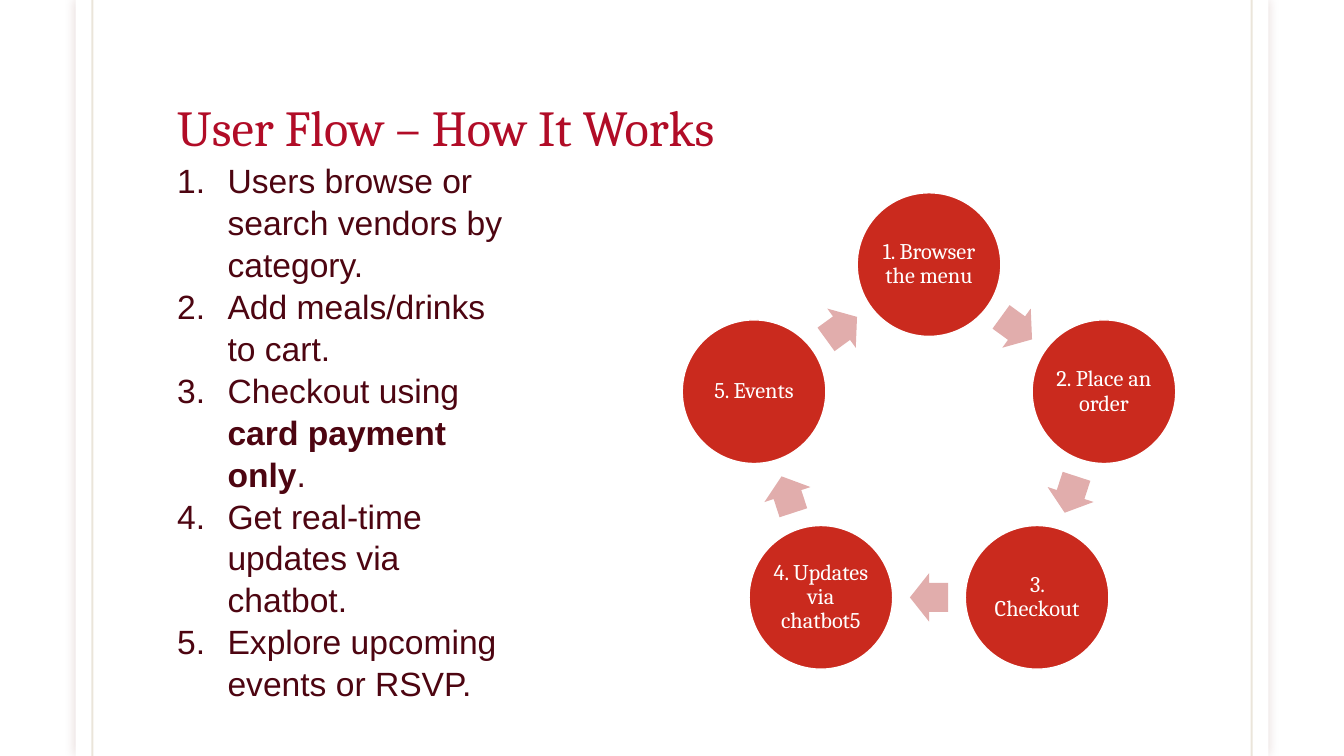
import math

import pptx
import pptx.dml.color
import pptx.enum.shapes
import pptx.enum.text
import pptx.oxml
import pptx.oxml.ns
import pptx.util

RGBColor = pptx.dml.color.RGBColor
SHAPE = pptx.enum.shapes.MSO_SHAPE
ALIGN = pptx.enum.text.PP_ALIGN
ANCHOR = pptx.enum.text.MSO_ANCHOR
FIT = pptx.enum.text.MSO_AUTO_SIZE

WHITE = RGBColor(0xFF, 0xFF, 0xFF)
GOLD = RGBColor(0x79, 0x54, 0x0B)
CRIMSON = RGBColor(0xB1, 0x0C, 0x27)
MAROON = RGBColor(0x4D, 0x05, 0x11)
RED = RGBColor(0xCA, 0x2A, 0x1E)
PINK = RGBColor(0xE1, 0xAD, 0xAC)
SHADOW = RGBColor(0x65, 0x15, 0x0F)

COLUMNS, ROWS = 160, 90  # square cells, twelve to the inch


class Deck:
    """Holds the style and the current slide; lengths are grid cells."""

    heading_font = "Cambria"
    body_font = "Arial"

    def __init__(self, prs):
        self.cell = prs.slide_width / COLUMNS
        self.s = prs.slides.add_slide(prs.slide_layouts[6])

    def at(self, *cells):
        return [pptx.util.Emu(round(c * self.cell)) for c in cells]

    def add_xml(self, parent, tag, **attributes):
        child = pptx.oxml.parse_xml(f"<a:{tag} {pptx.oxml.ns.nsdecls('a')}/>")
        for name, value in attributes.items():
            child.set(name, str(value))
        parent.append(child)
        return child

    def shape(self, kind, x, y, w, h, fill, outline=None):
        sp = self.s.shapes.add_shape(kind, *self.at(x, y, w, h))
        sp.shadow.inherit = False
        sp.fill.solid()
        sp.fill.fore_color.rgb = fill
        if outline is None:
            sp.line.fill.background()
        else:
            sp.line.color.rgb = outline
            sp.line.width = pptx.util.Pt(1)
        return sp

    def glow(self, sp, color, blur, alpha):
        effects = sp._element.spPr.find(pptx.oxml.ns.qn("a:effectLst"))
        outer = self.add_xml(effects, "outerShdw", blurRad=pptx.util.Pt(blur),
                             dist=0, dir=0, algn="ctr", rotWithShape=0)
        tint = self.add_xml(outer, "srgbClr", val=color)
        self.add_xml(tint, "alpha", val=alpha * 1000)

    def rule(self, x, color, alpha):
        line = self.s.shapes.add_connector(
            pptx.enum.shapes.MSO_CONNECTOR.STRAIGHT, *self.at(x, 0, x, ROWS))
        line.line.color.rgb = color
        line.line.width = pptx.util.Pt(1.5)
        tint = line._element.spPr.find(".//" + pptx.oxml.ns.qn("a:srgbClr"))
        self.add_xml(tint, "alpha", val=alpha * 1000)
        self.add_xml(line._element.spPr, "effectLst")

    def run(self, p, text, font, size, color, bold=False):
        r = p.add_run()
        r.text = text
        r.font.name = font
        r.font.size = pptx.util.Pt(size)
        r.font.color.rgb = color
        r.font.bold = bold

    def frame(self, x, y, w, h, anchor):
        tf = self.s.shapes.add_textbox(*self.at(x, y, w, h)).text_frame
        tf.word_wrap = True
        tf.vertical_anchor = anchor
        return tf

    def title(self, x, y, w, h, text):
        p = self.frame(x, y, w, h, ANCHOR.BOTTOM).paragraphs[0]
        p.line_spacing = 0.85
        self.run(p, text, self.heading_font, 36, CRIMSON)

    def numbered_list(self, x, y, w, h, items):
        tf = self.frame(x, y, w, h, ANCHOR.MIDDLE)
        tf.auto_size = FIT.SHAPE_TO_FIT_TEXT
        indent = pptx.util.Inches(0.5)
        for i, item in enumerate(items):
            p = tf.paragraphs[0] if i == 0 else tf.add_paragraph()
            p.line_spacing = 1.04
            pPr = p._p.get_or_add_pPr()
            pPr.set("marL", str(indent))
            pPr.set("indent", str(-indent))
            self.add_xml(pPr, "buFont", typeface=self.body_font)
            self.add_xml(pPr, "buAutoNum", type="arabicPeriod")
            for text, bold in item:
                self.run(p, text, self.body_font, 24, MAROON, bold)

    def disc(self, cx, cy, size, text):
        sp = self.shape(SHAPE.OVAL, cx - size / 2, cy - size / 2, size, size,
                        RED, WHITE)
        tf = sp.text_frame
        tf.word_wrap = True
        tf.vertical_anchor = ANCHOR.MIDDLE
        tf.margin_left = tf.margin_right = pptx.util.Inches(0.02)
        tf.margin_top = tf.margin_bottom = pptx.util.Inches(0.02)
        p = tf.paragraphs[0]
        p.alignment = ALIGN.CENTER
        p.line_spacing = 0.9
        self.run(p, text, self.heading_font, 16, WHITE)

    def arrow(self, cx, cy, w, h, angle):
        sp = self.shape(SHAPE.RIGHT_ARROW, cx - w / 2, cy - h / 2, w, h, PINK)
        sp.adjustments[0], sp.adjustments[1] = 0.6, 0.5
        sp.rotation = angle

    def cycle(self, cx, cy, radius, size, steps):
        turn = 360 / len(steps)

        def point(distance, degrees):
            a = math.radians(degrees)
            return cx + distance * math.sin(a), cy - distance * math.cos(a)

        # Arrows sit halfway along the chord to the next disc
        middle = radius * math.cos(math.radians(turn / 2))
        for i, step in enumerate(steps):
            self.disc(*point(radius, i * turn), size, step)
            angle = (i + 0.5) * turn
            self.arrow(*point(middle, angle), 4.56, 5.76, angle)


def main():
    prs = pptx.Presentation()
    prs.slide_width = pptx.util.Inches(COLUMNS / 12)
    prs.slide_height = pptx.util.Inches(ROWS / 12)
    deck = Deck(prs)

    # Page panel with its side rules
    panel = deck.shape(SHAPE.RECTANGLE, 9, 0, COLUMNS - 18, ROWS, WHITE)
    deck.glow(panel, SHADOW, blur=7, alpha=15)
    for x in (11, COLUMNS - 11):
        deck.rule(x, GOLD, alpha=15)

    # Title
    deck.title(19.92, 4.2, 120, 15, "User Flow – How It Works")

    # Cycle of steps
    deck.cycle(110.6, 53.4, 21.9, 17.1, [
        "1. Browser the menu",
        "2. Place an order",
        "3. Checkout",
        "4. Updates via chatbot5",
        "5. Events",
    ])

    # Numbered list
    deck.numbered_list(19.92, 19.2, 41.16, 64.2, [
        [("Users browse or search vendors by category.", False)],
        [("Add meals/drinks to cart.", False)],
        [("Checkout using ", False), ("card payment only", True), (".", False)],
        [("Get real-time updates via chatbot.", False)],
        [("Explore upcoming events or RSVP.", False)],
    ])

    prs.save("out.pptx")


if __name__ == "__main__":
    main()
